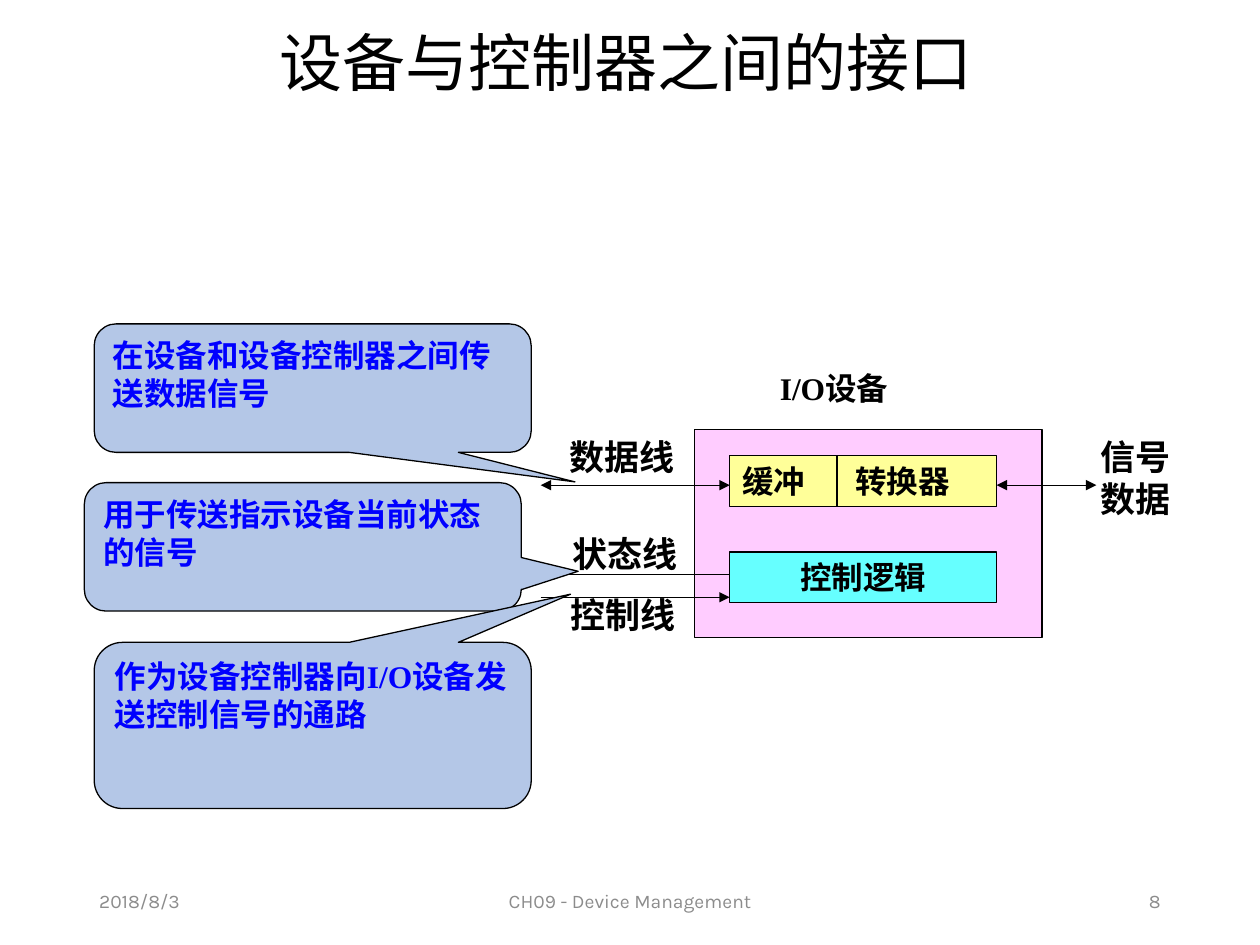
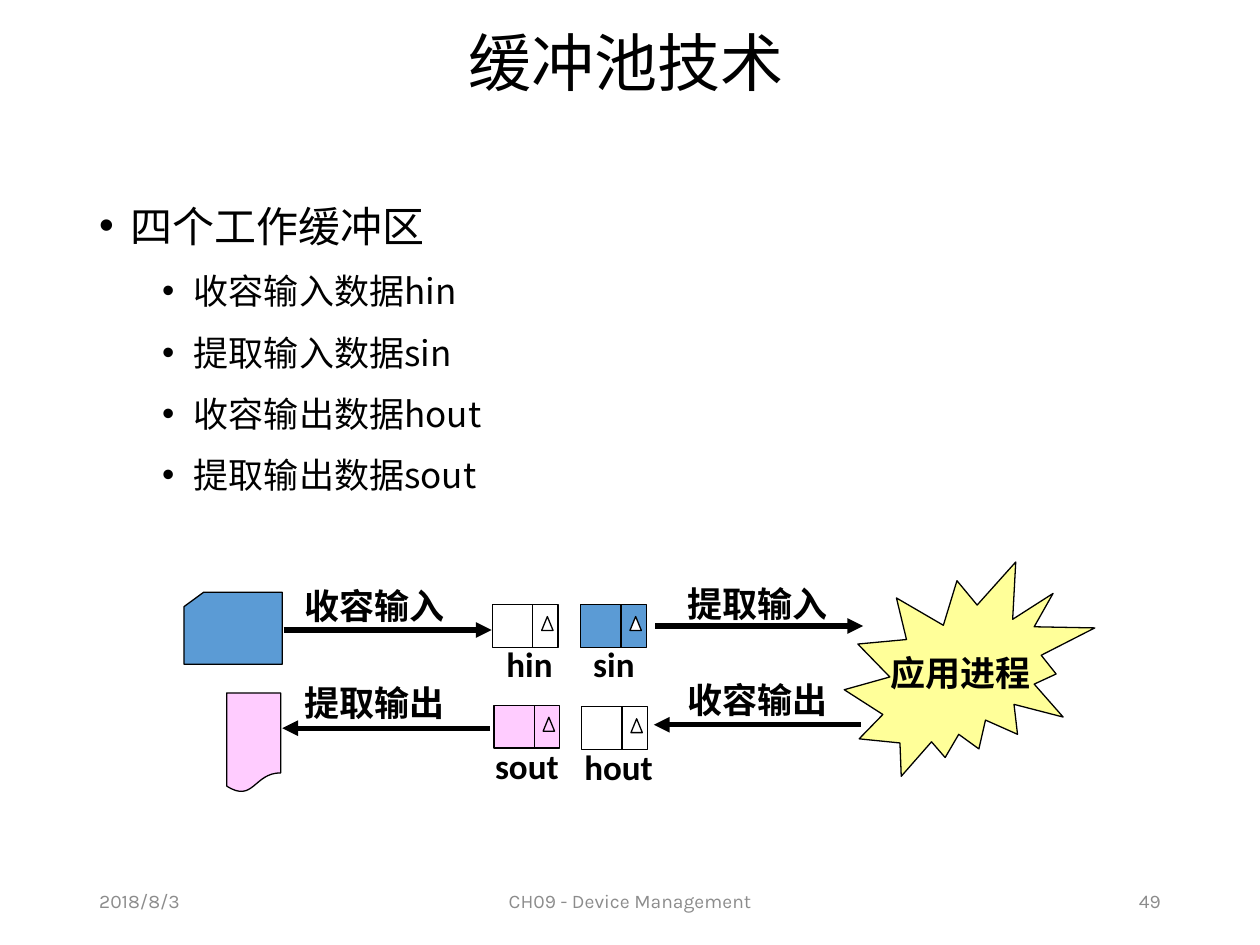
from dataclasses import dataclass
from typing import Optional

from lxml.etree import SubElement
from pptx import Presentation
from pptx.dml.color import RGBColor
from pptx.enum.shapes import MSO_CONNECTOR as Connector, MSO_SHAPE as Preset
from pptx.enum.text import MSO_ANCHOR as Anchor, PP_ALIGN as Align
from pptx.oxml.ns import qn
from pptx.util import Cm, Pt


@dataclass(frozen=True)
class TextStyle:
    font: str
    size: float
    color: str = "000000"
    bold: bool = False
    align: Align = Align.LEFT
    anchor: Anchor = Anchor.TOP
    line_spacing: float = 1.0
    wrap: bool = True


@dataclass(frozen=True)
class Theme:
    black: str = "000000"
    white: str = "FFFFFF"
    pink: str = "FFCCFF"
    yellow: str = "FFFF99"
    cyan: str = "66FFFF"
    blue: str = "5B9BD5"
    pale_blue: str = "B4C7E7"
    thin: float = 0.75
    thick: float = 3
    title: TextStyle = TextStyle("Noto Sans CJK SC", 36, align=Align.CENTER, anchor=Anchor.MIDDLE, line_spacing=0.9)
    topic: TextStyle = TextStyle("Noto Sans CJK SC", 24, line_spacing=1.25)
    detail: TextStyle = TextStyle("Noto Sans CJK SC", 20, line_spacing=1.25)
    device: TextStyle = TextStyle("Times New Roman", 18, bold=True)
    device_centered: TextStyle = TextStyle("Times New Roman", 18, bold=True, align=Align.CENTER)
    wire: TextStyle = TextStyle("Times New Roman", 20, bold=True)
    signal: TextStyle = TextStyle("Times New Roman", 20, bold=True, align=Align.CENTER)
    callout: TextStyle = TextStyle("Times New Roman", 18, "0000FF", bold=True)
    flow: TextStyle = TextStyle("Calibri", 20, bold=True)
    process: TextStyle = TextStyle("Calibri", 20, bold=True, align=Align.CENTER, anchor=Anchor.MIDDLE, wrap=False)


THEME = Theme()


@dataclass(frozen=True)
class Box:
    left: float
    top: float
    width: float
    height: float

    def lengths(self) -> tuple:
        return Cm(self.left), Cm(self.top), Cm(self.width), Cm(self.height)


@dataclass(frozen=True)
class Label:
    text: str
    box: Box
    style: TextStyle


@dataclass(frozen=True)
class Line:
    x1: float
    y1: float
    x2: float
    y2: float
    head: bool = False
    tail: bool = False
    width: float = THEME.thin


@dataclass(frozen=True)
class Callout:
    text: str
    box: Box
    tip_x: float
    tip_y: float


@dataclass(frozen=True)
class Buffer:
    name: str
    left: float
    top: float
    fill: str
    flag_fill: str
    label: Box


def style_paragraph(paragraph, style: TextStyle) -> None:
    paragraph.alignment = style.align
    paragraph.line_spacing = style.line_spacing
    paragraph.font.name = style.font
    paragraph.font.size = Pt(style.size)
    paragraph.font.bold = style.bold
    paragraph.font.color.rgb = RGBColor.from_string(style.color)


def write_text(shape, text: str, style: TextStyle, tab: Optional[float] = None) -> None:
    frame = shape.text_frame
    frame.word_wrap = style.wrap
    frame.vertical_anchor = style.anchor
    frame.text = text
    for paragraph in frame.paragraphs:
        if tab is not None:
            properties = paragraph._p.get_or_add_pPr()
            tabs = SubElement(properties, qn("a:tabLst"))
            SubElement(tabs, qn("a:tab"), pos=str(Cm(tab)), algn="l")
        style_paragraph(paragraph, style)


def add_label(slide, label: Label) -> None:
    write_text(slide.shapes.add_textbox(*label.box.lengths()), label.text, label.style)


def add_block(slide, preset: Preset, box: Box, fill: str):
    shape = slide.shapes.add_shape(preset, *box.lengths())
    shape.shadow.inherit = False
    shape.fill.solid()
    shape.fill.fore_color.rgb = RGBColor.from_string(fill)
    shape.line.color.rgb = RGBColor.from_string(THEME.black)
    shape.line.width = Pt(THEME.thin)
    return shape


def add_line(slide, line: Line) -> None:
    connector = slide.shapes.add_connector(
        Connector.STRAIGHT, Cm(line.x1), Cm(line.y1), Cm(line.x2), Cm(line.y2))
    connector.line.color.rgb = RGBColor.from_string(THEME.black)
    connector.line.width = Pt(line.width)
    outline = connector.line._get_or_add_ln()
    for tag, shown in (("a:headEnd", line.head), ("a:tailEnd", line.tail)):
        if shown:
            SubElement(outline, qn(tag), type="triangle")
    SubElement(connector._element.spPr, qn("a:effectLst"))


def add_callout(slide, callout: Callout) -> None:
    shape = add_block(slide, Preset.ROUNDED_RECTANGULAR_CALLOUT, callout.box, THEME.pale_blue)
    for index, value in enumerate((callout.tip_x, callout.tip_y, 0.17)):
        shape.adjustments[index] = value
    write_text(shape, callout.text, THEME.callout)


def add_buffer(slide, buffer: Buffer) -> None:
    width, height, split = 1.32, 0.86, 0.81
    add_block(slide, Preset.RECTANGLE, Box(buffer.left, buffer.top, width, height), buffer.fill)
    divider = buffer.left + split
    add_line(slide, Line(divider, buffer.top, divider, buffer.top + height))
    flag = Box(buffer.left + 0.99, buffer.top + 0.24, 0.23, 0.28)
    add_block(slide, Preset.ISOSCELES_TRIANGLE, flag, buffer.flag_fill)
    add_label(slide, Label(buffer.name, buffer.label, THEME.flow))


def add_outline(slide, topic: str, details: list[str]) -> None:
    frame = slide.shapes.add_textbox(*Box(1.75, 3.66, 21.89, 13.67).lengths()).text_frame
    frame.word_wrap = True
    for index, text in enumerate([topic, *details]):
        paragraph = frame.add_paragraph() if index else frame.paragraphs[0]
        paragraph.text = text
        properties = paragraph._p.get_or_add_pPr()
        properties.set("marL", str(Cm(1.91 if index else 0.64)))
        properties.set("indent", str(Cm(-0.64)))
        SubElement(properties, qn("a:buFont"), typeface="Arial")
        SubElement(properties, qn("a:buChar"), char="•")
        if index:
            paragraph.level = 1
            paragraph.space_before = Pt(5)
        style_paragraph(paragraph, THEME.detail if index else THEME.topic)


def add_page(presentation, title: str, number: int):
    slide = presentation.slides.add_slide(presentation.slide_layouts[6])
    add_label(slide, Label(title, Box(1.68, 0.36, 21.89, 1.93), THEME.title))
    for text, left, width, align in (
        ("2018/8/3", 1.75, 5.72, Align.LEFT),
        ("CH09 - Device Management", 8.41, 8.59, Align.CENTER),
        (str(number), 17.93, 5.72, Align.RIGHT),
    ):
        style = TextStyle("Karla", 11, "8C8C8C", align=align, anchor=Anchor.MIDDLE)
        add_label(slide, Label(text, Box(left, 17.65, width, 1.02), style))
    return slide


def build_interface_slide(presentation) -> None:
    slide = add_page(presentation, "设备与控制器之间的接口", 8)
    add_block(slide, Preset.RECTANGLE, Box(14, 8.66, 7.01, 4.19), THEME.pink)
    converter = add_block(slide, Preset.RECTANGLE, Box(14.71, 9.19, 5.38, 1.02), THEME.yellow)
    write_text(converter, "缓冲\t转换器", THEME.device, tab=2.28)
    logic = add_block(slide, Preset.RECTANGLE, Box(14.71, 11.13, 5.38, 1.02), THEME.cyan)
    write_text(logic, "控制逻辑", THEME.device_centered)

    for line in (
        Line(16.87, 9.19, 16.87, 10.21),
        Line(10.9, 9.78, 14.71, 9.78, head=True, tail=True),
        Line(10.9, 11.58, 14.71, 11.58, head=True),
        Line(10.9, 12.04, 14.71, 12.04, tail=True),
        Line(20.09, 9.78, 22.1, 9.78, head=True, tail=True),
    ):
        add_line(slide, line)

    for label in (
        Label("数据线", Box(11.23, 8.66, 3, 1.09), THEME.wire),
        Label("状态线", Box(11.3, 10.62, 3, 1.09), THEME.wire),
        Label("控制线", Box(11.25, 11.84, 3, 1.09), THEME.wire),
        Label("信号\n数据", Box(21.89, 8.66, 2.01, 1.96), THEME.signal),
        Label("I/O设备", Box(15.47, 7.32, 3.61, 1.02), THEME.device),
    ):
        add_label(slide, label)

    for callout in (
        Callout("在设备和设备控制器之间传送数据信号", Box(1.9, 6.53, 8.81, 2.59), 0.6, 0.73),
        Callout("用于传送指示设备当前状态的信号", Box(1.7, 9.73, 8.81, 2.59), 0.63, 0.19),
        Callout("作为设备控制器向I/O设备发送控制信号的通路", Box(1.9, 12.95, 8.81, 3.35), 0.59, -0.79),
    ):
        add_callout(slide, callout)


def build_buffer_pool_slide(presentation) -> None:
    slide = add_page(presentation, "缓冲池技术", 49)
    add_outline(slide, "四个工作缓冲区",
                ["收容输入数据hin", "提取输入数据sin", "收容输出数据hout", "提取输出数据sout"])
    process = add_block(slide, Preset.EXPLOSION2, Box(17.02, 11.33, 5.05, 4.32), THEME.yellow)
    write_text(process, "应用进程", THEME.process)

    for buffer in (
        Buffer("hin", 9.93, 12.19, THEME.white, THEME.white, Box(9.96, 12.83, 1.52, 1.12)),
        Buffer("sin", 11.71, 12.19, THEME.blue, THEME.white, Box(11.71, 12.83, 1.52, 1.12)),
        Buffer("sout", 9.96, 14.22, THEME.pink, THEME.pink, Box(9.73, 14.88, 2.03, 1.09)),
        Buffer("hout", 11.73, 14.25, THEME.white, THEME.white, Box(11.53, 14.91, 1.98, 1.09)),
    ):
        add_buffer(slide, buffer)

    for text, left, top, start, end, level in (
        ("收容输入", 5.89, 11.66, 5.72, 9.91, 12.7),
        ("提取输入", 13.61, 11.61, 13.21, 17.4, 12.62),
        ("提取输出", 5.89, 13.61, 9.88, 5.69, 14.68),
        ("收容输出", 13.61, 13.56, 17.35, 13.18, 14.61),
    ):
        add_line(slide, Line(start, level, end, level, tail=True, width=THEME.thick))
        add_label(slide, Label(text, Box(left, top, 4, 1.09), THEME.flow))

    add_block(slide, Preset.FLOWCHART_CARD, Box(3.71, 11.94, 1.98, 1.45), THEME.blue)
    add_block(slide, Preset.FLOWCHART_DOCUMENT, Box(4.57, 13.97, 1.09, 2.01), THEME.pink)


def main() -> None:
    presentation = Presentation()
    presentation.slide_width, presentation.slide_height = Cm(25.4), Cm(19.05)
    build_interface_slide(presentation)
    build_buffer_pool_slide(presentation)
    presentation.save("out.pptx")


if __name__ == "__main__":
    main()
